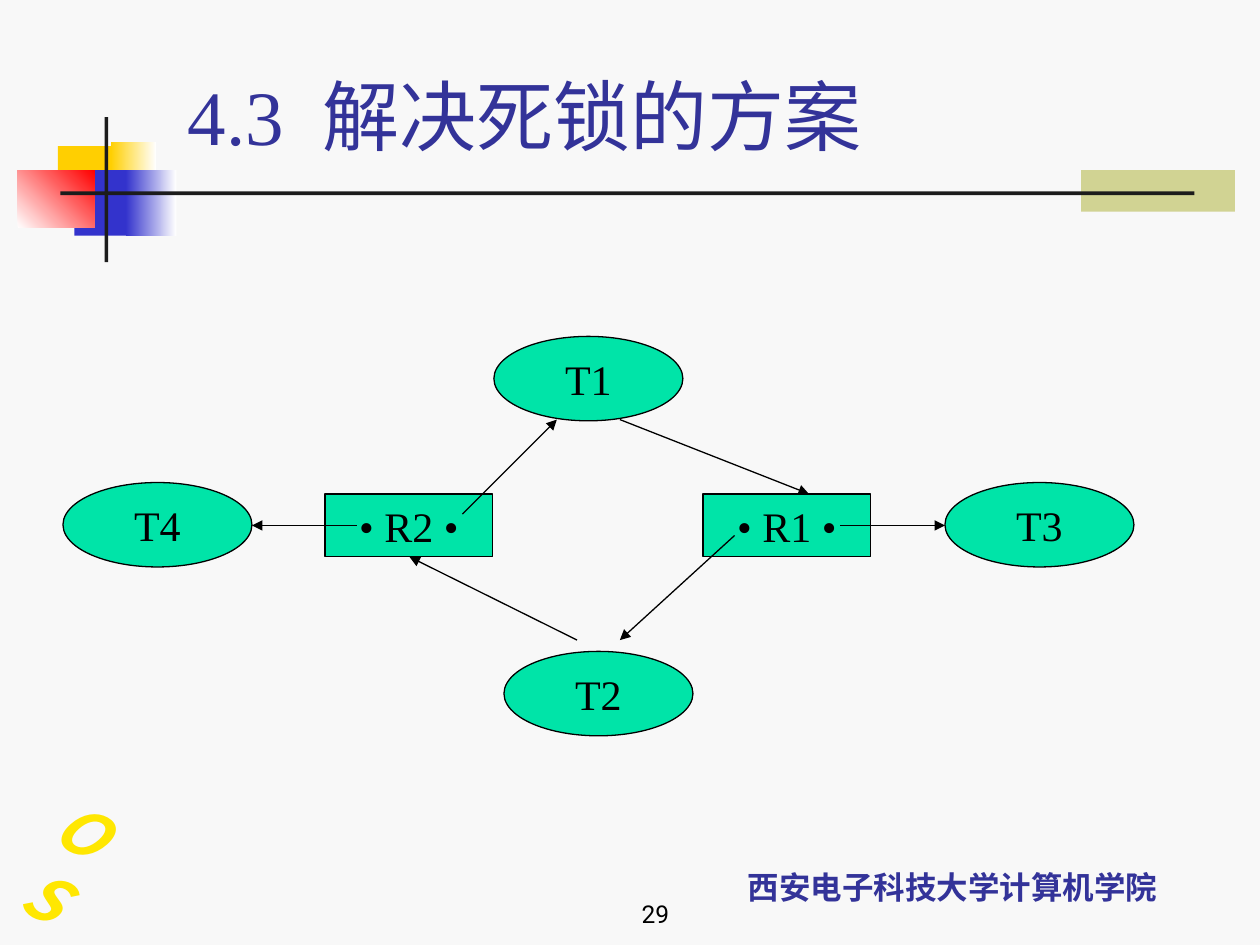
from dataclasses import dataclass
from typing import NamedTuple

from lxml.etree import SubElement
from pptx import Presentation
from pptx.dml.color import RGBColor
from pptx.enum.shapes import MSO_CONNECTOR as Connector, MSO_SHAPE as Shape
from pptx.enum.text import MSO_ANCHOR as Anchor, PP_ALIGN as Align
from pptx.oxml.ns import qn
from pptx.util import Inches, Pt


@dataclass(frozen=True)
class Theme:
    background: str = "F8F8F8"
    ink: str = "000000"
    rule: str = "1C1C1C"
    heading: str = "333399"
    node: str = "00E4A8"
    olive: str = "D1D393"
    amber: str = "FFCF01"
    blue: str = "3333CC"
    red: str = "FF0000"
    white: str = "FFFFFF"
    emblem: str = "FFE701"
    serif: str = "Times New Roman"
    sans: str = "Noto Sans CJK SC"
    digits: str = "Roboto"
    title_size: int = 44
    emblem_size: int = 36
    node_size: int = 24
    footer_size: int = 18
    number_size: int = 14
    line_width: float = 0.75


class Box(NamedTuple):
    left: float
    top: float
    width: float
    height: float

    def inside(self, left, top, width, height):
        return Box(self.left + left, self.top + top, width, height)

    def lengths(self):
        return [Inches(value) for value in self]


THEME = Theme()


def color(value):
    return RGBColor.from_string(value)


def add_text(para, content, *, size, font, fill=THEME.ink, bold=None,
             italic=None, spacing=None):
    span = para.add_run()
    span.text = content
    span.font.size = Pt(size)
    span.font.name = font
    span.font.bold = bold
    span.font.italic = italic
    span.font.color.rgb = color(fill)
    properties = span.font._element
    SubElement(properties, qn("a:ea")).set("typeface", THEME.sans)
    if spacing is not None:
        properties.set("spc", str(round(spacing * 100)))


def prepare_frame(shape, anchor, align, wrap=True):
    frame = shape.text_frame
    frame.word_wrap = wrap
    frame.vertical_anchor = anchor
    para = frame.paragraphs[0]
    para.alignment = align
    return para


def add_label(page, box, content, align=Align.CENTER, **style):
    shape = page.shapes.add_textbox(*box.lengths())
    para = prepare_frame(shape, Anchor.BOTTOM, align)
    add_text(para, content, **style)
    return shape


def add_block(page, box, fill, kind=Shape.RECTANGLE, fade_to=None, angle=0):
    shape = page.shapes.add_shape(kind, *box.lengths())
    shape.shadow.inherit = False
    shape.line.fill.background()
    if fade_to:
        shape.fill.gradient()
        shape.fill.gradient_angle = angle
        for stop, value in zip(shape.fill.gradient_stops, (fill, fade_to)):
            stop.color.rgb = color(value)
    else:
        shape.fill.solid()
        shape.fill.fore_color.rgb = color(fill)
    return shape


def draw_ornament(page, box):
    add_block(page, box.inside(8.44, 0.42, 1.22, 0.33), THEME.olive)
    add_block(page, box.inside(0.32, 0.23, 0.48, 0.52), THEME.amber)
    add_block(page, box.inside(0.74, 0.2, 0.36, 0.52), THEME.amber,
              fade_to=THEME.white)
    add_block(page, box.inside(0.45, 0.42, 0.46, 0.52), THEME.blue)
    add_block(page, box.inside(0.86, 0.42, 0.4, 0.52), THEME.blue,
              fade_to=THEME.white)
    add_block(page, box.inside(0, 0.42, 0.61, 0.46), THEME.white,
              fade_to=THEME.red, angle=45)
    add_block(page, box.inside(0.69, 0, 0.03, 1.15), THEME.rule)
    add_block(page, box.inside(0.34, 0.59, 9, 0.03), THEME.rule)


def draw_title(page, box):
    style = dict(size=THEME.title_size, font=THEME.serif, fill=THEME.heading)
    shape = add_label(page, box, "4.3", align=Align.LEFT, **style)
    para = shape.text_frame.paragraphs[0]
    add_text(para, " ", spacing=THEME.title_size / 4, **style)
    add_text(para, "解决死锁的方案", **style)


def draw_footer(page, box):
    add_label(page, box.inside(5.13, 0.24, 4.5, 0.58),
              "西安电子科技大学计算机学院", size=THEME.footer_size,
              font=THEME.sans, fill=THEME.heading, bold=True)
    add_label(page, box.inside(3.15, 0.5, 2.08, 0.5), "29",
              align=Align.RIGHT, size=THEME.number_size, font=THEME.digits)
    emblem = page.shapes.add_textbox(*box.inside(0, 0, 0.66, 0.85).lengths())
    emblem.rotation = 29.3
    para = prepare_frame(emblem, Anchor.TOP, Align.CENTER, wrap=False)
    emblem.text_frame._txBody.bodyPr.set("vert", "wordArtVert")
    add_text(para, "OS", size=THEME.emblem_size, font=THEME.sans,
             fill=THEME.emblem, bold=True, italic=True, spacing=-1.8)


def add_node(page, box, content, kind):
    shape = add_block(page, box, THEME.node, kind)
    shape.line.color.rgb = color(THEME.ink)
    shape.line.width = Pt(THEME.line_width)
    para = prepare_frame(shape, Anchor.MIDDLE, Align.CENTER, wrap=False)
    add_text(para, content, size=THEME.node_size, font=THEME.serif)


def add_arrow(page, box, start, end):
    points = [Inches(value) for x, y in (start, end)
              for value in (box.left + x, box.top + y)]
    arrow = page.shapes.add_connector(Connector.STRAIGHT, *points)
    arrow.line.color.rgb = color(THEME.ink)
    arrow.line.width = Pt(THEME.line_width)
    SubElement(arrow.line._get_or_add_ln(), qn("a:tailEnd")).set("type", "triangle")
    SubElement(arrow._element.spPr, qn("a:effectLst"))


def draw_resource_graph(page, box):
    threads = {"T1": (3.42, 0), "T2": (3.5, 2.5),
               "T3": (7, 1.16), "T4": (0, 1.16)}
    resources = {"• R2 •": (2.08, 1.25), "• R1 •": (5.08, 1.25)}
    groups = ((threads, Shape.OVAL, (1.5, 0.67)),
              (resources, Shape.RECTANGLE, (1.33, 0.5)))
    for nodes, kind, size in groups:
        for name, corner in nodes.items():
            add_node(page, box.inside(*corner, *size), name, kind)

    arrows = (
        ((3.17, 1.41), (3.92, 0.66)),
        ((4.42, 0.66), (5.92, 1.25)),
        ((6.17, 1.5), (7, 1.5)),
        ((5.33, 1.58), (4.42, 2.41)),
        ((4.08, 2.41), (2.75, 1.75)),
        ((2.33, 1.5), (1.5, 1.5)),
    )
    for start, end in arrows:
        add_arrow(page, box, start, end)


def main():
    deck = Presentation()
    deck.slide_width, deck.slide_height = Inches(10), Inches(7.5)
    page = deck.slides.add_slide(deck.slide_layouts[6])
    page.background.fill.solid()
    page.background.fill.fore_color.rgb = color(THEME.background)
    draw_ornament(page, Box(0.14, 0.93, 9.66, 1.15))
    draw_footer(page, Box(0.18, 6.42, 9.63, 1))
    draw_title(page, Box(1.39, 0.5, 8.52, 0.83))
    draw_resource_graph(page, Box(0.5, 2.67, 8.5, 3.17))
    deck.save("out.pptx")


if __name__ == "__main__":
    main()
